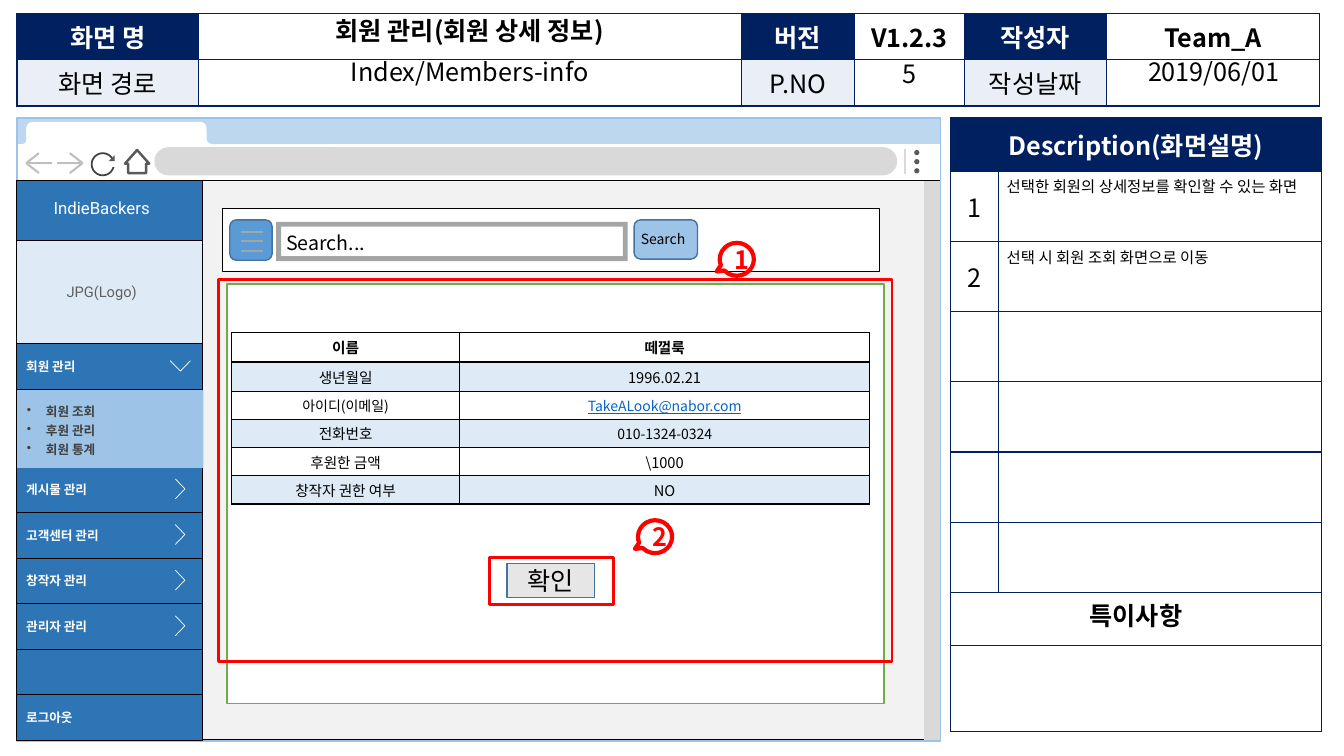
from dataclasses import dataclass

from lxml.etree import SubElement
from pptx import Presentation
from pptx.dml.color import RGBColor
from pptx.enum.shapes import MSO_CONNECTOR, MSO_SHAPE as Kind
from pptx.enum.text import MSO_ANCHOR, PP_ALIGN
from pptx.oxml.ns import qn
from pptx.util import Cm, Pt


@dataclass(frozen=True)
class Theme:
    sans: str = "Noto Sans CJK KR"
    menu: str = "Roboto"
    white: str = "FFFFFF"
    black: str = "000000"
    navy: str = "002060"
    blue: str = "2E75B6"
    sky: str = "9DC3E6"
    bar: str = "BDD7EE"
    pale: str = "DEEBF7"
    label: str = "EAEFF7"
    button: str = "5B9BD5"
    edge: str = "43739E"
    page: str = "F2F2F2"
    track: str = "D9D9D9"
    arrow: str = "BFBFBF"
    gray: str = "A5A5A5"
    logo: str = "5F5F5F"
    icon: str = "595959"
    dark: str = "404040"
    silver: str = "E7E6E6"
    red: str = "FF0000"
    green: str = "70AD47"
    link: str = "0563C1"
    head: float = 18
    field: float = 14
    brand: float = 12
    note: float = 11
    body: float = 10.5
    small: float = 10
    item: float = 9


T = Theme()
LEFT, MID = PP_ALIGN.LEFT, PP_ALIGN.CENTER
TOP, CORE = MSO_ANCHOR.TOP, MSO_ANCHOR.MIDDLE


class Board:
    def __init__(self, slide, theme):
        self.shapes, self.theme = slide.shapes, theme

    def paint(self, shape, fill, line, width):
        shape.shadow.inherit = False
        if fill:
            shape.fill.solid()
            shape.fill.fore_color.rgb = RGBColor.from_string(fill)
        else:
            shape.fill.background()
        if line:
            shape.line.color.rgb = RGBColor.from_string(line)
            shape.line.width = Pt(width)
        else:
            shape.line.fill.background()

    def letter(self, frame, text, size, color=T.black, bold=False, align=MID,
               face=T.sans, under=False):
        frame.text = text
        for para in frame.paragraphs:
            para.alignment = align
            font = para.font
            font.size, font.bold, font.name = Pt(size), bold, face
            font.color.rgb = RGBColor.from_string(color)
            if under:
                font.underline = True
            props = para._p.pPr.find(qn("a:defRPr"))
            SubElement(props, qn("a:ea"), typeface=self.theme.sans)

    def box(self, x, y, w, h, fill=None, line=None, width=0.5,
            kind=Kind.RECTANGLE, adj=(), turn=0):
        shape = self.shapes.add_shape(kind, Cm(x), Cm(y), Cm(w), Cm(h))
        for spot, value in enumerate(adj):
            shape.adjustments[spot] = value
        shape.rotation = turn
        self.paint(shape, fill, line, width)
        return shape

    def text(self, x, y, w, h, words, size, align=MID, anchor=TOP, space=None, bold=False):
        frame = self.shapes.add_textbox(Cm(x), Cm(y), Cm(w), Cm(h)).text_frame
        frame.word_wrap, frame.vertical_anchor = True, anchor
        self.letter(frame, words, size, align=align, bold=bold)
        if space:
            frame.paragraphs[0].line_spacing = space

    def line(self, x, y, x2, y2, color, width):
        wire = self.shapes.add_connector(
            MSO_CONNECTOR.STRAIGHT, Cm(x), Cm(y), Cm(x2), Cm(y2))
        wire.line.color.rgb = RGBColor.from_string(color)
        wire.line.width = Pt(width)
        SubElement(wire._element.spPr, qn("a:effectLst"))

    def hook(self, *points):
        first, *rest = [(Cm(x), Cm(y)) for x, y in points]
        pen = self.shapes.build_freeform(*first)
        pen.add_line_segments(rest, close=False)
        self.paint(pen.convert_to_shape(), None, self.theme.white, 0.5)

    def panel(self, y, h, words, size, color=T.white, fill=T.blue, line=T.black,
              x=0.41, top=None, **style):
        frame = self.box(x, y, 4.7, h, fill, line).text_frame
        frame.margin_right = Cm(0.64)
        if top:
            frame.vertical_anchor, frame.margin_top = TOP, Cm(top)
        self.letter(frame, words, size, color, face=self.theme.menu, **style)
        return frame

    def table(self, x, y, cols, rows, color, pad):
        table = self.shapes.add_table(
            len(rows), len(cols), Cm(x), Cm(y), Cm(sum(cols)), Cm(sum(rows))).table
        table.first_row = table.horz_banding = False
        for col, w in zip(table.columns, cols):
            col.width = Cm(w)
        for row, h in zip(table.rows, rows):
            row.height = Cm(h)
        for cell in table.iter_cells():
            cell.margin_left = cell.margin_right = Cm(0.2)
            cell.margin_top = cell.margin_bottom = Cm(pad)
            for side in ("lnL", "lnR", "lnT", "lnB"):
                edge = SubElement(cell._tc.get_or_add_tcPr(), qn("a:" + side), w="12700")
                SubElement(SubElement(edge, qn("a:solidFill")), qn("a:srgbClr"), val=color)
            cell.fill.background()
        return table

    def cell(self, cell, words, size, fill=None, anchor=CORE, **style):
        if fill:
            cell.fill.solid()
            cell.fill.fore_color.rgb = RGBColor.from_string(fill)
        cell.vertical_anchor = anchor
        if words:
            self.letter(cell.text_frame, words, size, **style)


def browser(b):
    b.box(0.41, 4.52, 23.27, 14.12, T.page, T.black)
    b.box(23.29, 4.55, 0.41, 14.1, T.track)
    b.box(0.43, 3.61, 23.27, 0.94, T.white, T.black)
    b.box(3.89, 3.71, 18.72, 0.71, T.track, kind=Kind.ROUNDED_RECTANGLE, adj=[0.5])
    for dot in range(3):
        b.box(23.04, 3.78 + 0.23 * dot, 0.13, 0.13, T.icon, kind=Kind.OVAL)
    b.line(22.81, 3.76, 22.81, 4.39, T.track, 1)
    b.box(0.43, 2.97, 23.27, 0.66, T.bar)
    for tip, way in ((0.66, 1), (2.08, -1)):
        for dx, dy in ((0.64, 0), (0.32, -0.25), (0.32, 0.25)):
            b.line(tip, 4.11, tip + way * dx, 4.11 + dy, T.arrow, 1.5)
    b.box(2.31, 3.86, 0.56, 0.56, None, T.dark, 1.25, Kind.OVAL)
    b.box(2.77, 4.01, 0.2, 0.2, T.white)
    b.box(2.74, 3.91, 0.15, 0.15, T.icon, kind=Kind.ISOSCELES_TRIANGLE, adj=[1])
    b.box(3.15, 3.78, 0.61, 0.58, T.white, T.icon, 1.75, Kind.DOWN_ARROW, [0.75, 0.59], 180)
    for x, y, w, h, fill, bend in (
            (0.66, 3.07, 4.55, 0.58, T.white, 0.28), (4.78, 3.3, 0.86, 0.38, T.white, 0.17),
            (5.21, 3.12, 3.23, 0.51, T.bar, 0.28), (0.53, 3.3, 0.33, 0.38, T.white, 0.17),
            (0.43, 3.12, 0.23, 0.51, T.bar, 0.46)):
        b.box(x, y, w, h, fill, kind=Kind.ROUNDED_RECTANGLE, adj=[bend])
    b.box(0.43, 2.97, 23.27, 15.7, None, T.sky, 1)


def header(b):
    grid = b.table(0.43, 0.33, (4.57, 13.69, 2.84, 2.77, 3.58, 5.38), (1.17, 1.17), T.navy, 0.12)
    rows = (("화면 명", "", "버전", "V1.2.3", "작성자", "Team_A"),
            ("화면 경로", "", "P.NO", "", "작성날짜", ""))
    for r, row in enumerate(rows):
        for c, words in enumerate(row):
            named = c % 2 == 0
            fill = (T.navy, T.label)[r] if named else T.white
            color = T.white if named and r == 0 else T.black
            b.cell(grid.cell(r, c), words, T.head, fill, TOP, color=color, bold=r == 0)


def menu(b):
    b.panel(4.55, 14.1, "IndieBackers", T.brand, top=0.43)
    b.panel(6.05, 2.62, "JPG(Logo)", T.body, T.logo, T.pale)
    b.panel(17.5, 1.15, "로그아웃", T.item, bold=True, align=LEFT)
    for row, words in enumerate(("게시물 관리", "고객센터 관리", "창작자 관리", "관리자 관리")):
        y = 11.76 + 1.15 * row
        b.panel(y, 1.15, words, T.item, bold=True, align=LEFT)
        b.hook((4.42, y + 0.31), (4.66, y + 0.56), (4.42, y + 0.81))
    frame = b.panel(9.83, 1.96, "회원 조회\n후원 관리\n회원 통계", T.item, T.dark, T.sky, None,
                    0.43, bold=True, align=LEFT)
    for para in frame.paragraphs:
        para.line_spacing = 1.25
        props = para._p.pPr
        props.set("marL", str(Cm(0.48)))
        props.set("indent", str(-Cm(0.48)))
        mark = SubElement(props, qn("a:buChar"), char="•")
        props.find(qn("a:defRPr")).addprevious(mark)
    b.panel(8.66, 1.15, "회원 관리", T.item, bold=True, align=LEFT)
    b.hook((4.29, 9.09), (4.55, 9.35), (4.8, 9.09))


def notes(b):
    grid = b.table(23.95, 2.97, (1.22, 8.13), (1.34, *[1.77] * 6, 1.34, 2.16), T.navy, 0.1)
    for row in (0, 7, 8):
        grid.cell(row, 0).merge(grid.cell(row, 1))
    b.cell(grid.cell(0, 0), "Description(화면설명)", T.head, T.navy, color=T.white, bold=True)
    for row, words in enumerate(("선택한 회원의 상세정보를 확인할 수 있는 화면",
                                 "선택 시 회원 조회 화면으로 이동"), 1):
        b.cell(grid.cell(row, 0), str(row), T.head)
        b.cell(grid.cell(row, 1), words, T.note, anchor=TOP, align=LEFT)
    b.cell(grid.cell(7, 0), "특이사항", T.head, anchor=TOP, bold=True)


def titles(b):
    b.text(5, 0.36, 13.67, 0.97, "회원 관리(회원 상세 정보)", T.head, space=0.9, bold=True)
    b.text(5, 1.37, 13.67, 0.97, "Index/Members-info", T.head, space=0.9)
    b.text(27.91, 1.37, 5.36, 0.97, "2019/06/01", T.head, space=0.9)
    b.text(21.54, 1.37, 2.74, 0.97, "5", T.head, anchor=CORE)


def search(b):
    b.box(5.61, 5.26, 16.56, 1.57, T.white, T.black)
    b.box(5.79, 5.54, 1.07, 1.02, T.button, T.edge, 1, Kind.ROUNDED_RECTANGLE)
    for bar in range(3):
        y = 5.84 + 0.24 * bar
        b.line(6.07, y, 6.63, y, T.gray, 1.5)
    b.box(6.96, 5.59, 8.86, 0.99, T.gray, kind=Kind.FRAME, adj=[0.125])
    b.text(6.96, 5.69, 2.82, 0.86, "Search...", T.field, LEFT)
    b.box(15.98, 5.54, 1.6, 0.99, T.sky, T.edge, 1, Kind.ROUNDED_RECTANGLE)
    b.text(15.9, 5.69, 1.93, 0.69, "Search", T.small, LEFT)


def member(b):
    b.box(5.72, 7.16, 16.56, 10.57, T.white, T.green, 1)
    b.box(5.51, 7.04, 16.97, 9.63, None, T.red, 2)
    grid = b.table(5.84, 8.38, (5.74, 10.34), (0.74, 0.74, *[0.71] * 4), T.black, 0.07)
    rows = (("이름", T.body, "떼껄룩", T.body), ("생년월일", T.body, "1996.02.21", T.body),
            ("아이디(이메일)", T.small, "TakeALook@nabor.com", T.small),
            ("전화번호", T.body, "010-1324-0324", T.small),
            ("후원한 금액", T.body, "\\1000", T.body), ("창작자 권한 여부", T.body, "NO", T.body))
    for r, (name, size, value, scale) in enumerate(rows):
        fill = T.pale if r % 2 else None
        mail = "@" in value
        b.cell(grid.cell(r, 0), name, size, fill, bold=r == 0)
        b.cell(grid.cell(r, 1), value, scale, fill, bold=r == 0,
               color=T.link if mail else T.black, under=mail)
    for x, y, mark in ((18.14, 6.12, "1"), (16.08, 13.11, "2")):
        bubble = b.box(x, y, 0.86, 0.83, None, T.red, 3, Kind.OVAL_CALLOUT, [-0.59, 0.37])
        b.letter(bubble.text_frame, mark, T.head, T.red, True)
    b.box(12.34, 14.05, 3.12, 1.19, None, T.red, 2.25)
    done = b.box(12.78, 14.2, 2.21, 0.86, T.silver, T.edge, 1)
    b.letter(done.text_frame, "확인", T.head)


def main():
    deck = Presentation()
    deck.slide_width, deck.slide_height = Cm(33.87), Cm(19.05)
    board = Board(deck.slides.add_slide(deck.slide_layouts[6]), T)
    for part in (browser, header, menu, notes, titles, search, member):
        part(board)
    deck.save("out.pptx")


if __name__ == "__main__":
    main()
